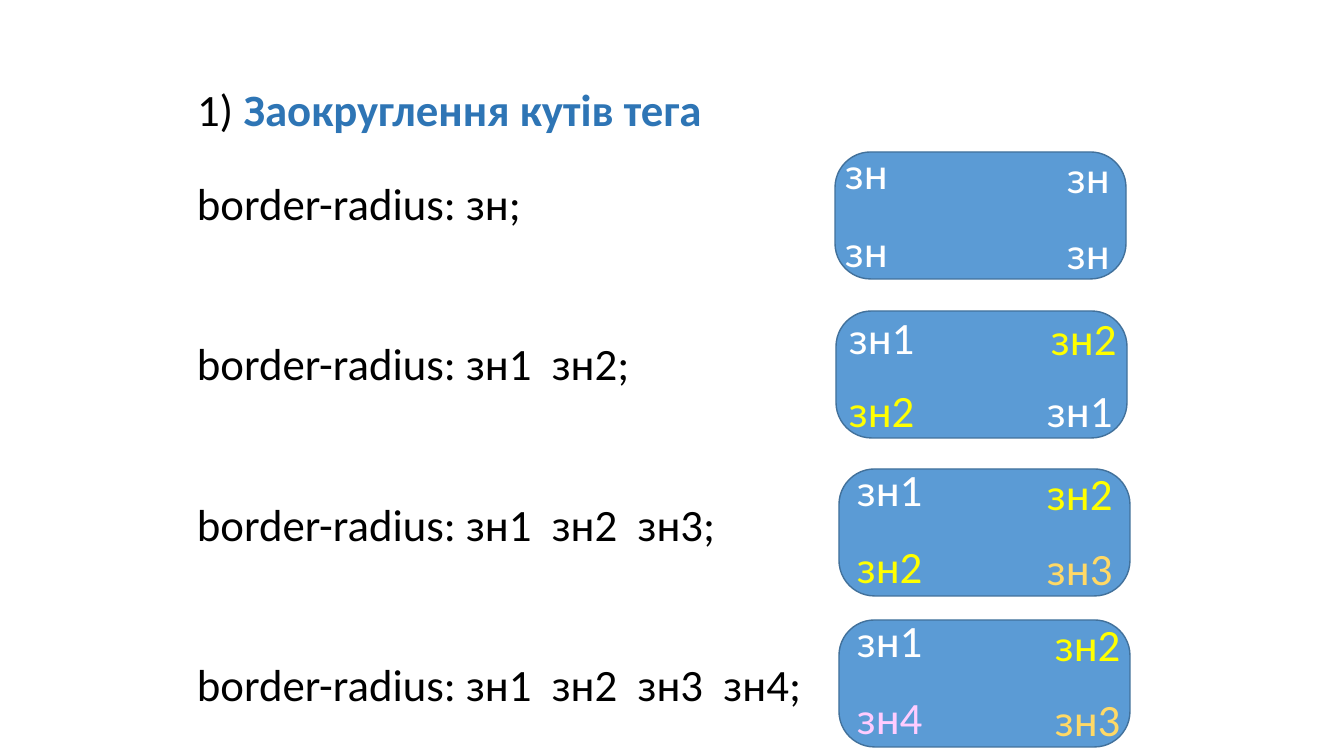
from pptx import Presentation
from pptx.dml.color import RGBColor
from pptx.enum.shapes import MSO_SHAPE
from pptx.enum.text import MSO_ANCHOR, MSO_AUTO_SIZE, PP_ALIGN
from pptx.util import Emu, Pt

HEADING = [("1) ", "000000", False), ("Заокруглення кутів тега", "2E75B5", True)]
RULES = [
    "border-radius: зн;",
    "border-radius: зн1  зн2;",
    "border-radius: зн1  зн2  зн3;",
    "border-radius: зн1  зн2  зн3  зн4;",
]
COLORS = {"зн": "FFFFFF", "зн1": "FFFFFF", "зн2": "FFFF00", "зн3": "FFD966", "зн4": "FFCCFF"}
BOXES = [
    ((835, 152), [("зн", 835, 140), ("зн", 1057, 144), ("зн", 1057, 220), ("зн", 835, 218)]),
    ((836, 311), [("зн1", 839, 305), ("зн2", 1041, 306), ("зн1", 1037, 378), ("зн2", 839, 378)]),
    ((839, 469), [("зн1", 847, 457), ("зн2", 1037, 461), ("зн3", 1037, 536), ("зн2", 847, 534)]),
    ((839, 620), [("зн1", 847, 608), ("зн2", 1045, 612), ("зн3", 1045, 687), ("зн4", 847, 685)]),
]
BOX_W, BOX_H = 291, 127
LABEL_W, LINE_H = 265, 65
TEXT_X, TEXT_W = 187, 961


def px(n):
    return Emu(round(n * 914400 / 100.8))


def rgb(value):
    return RGBColor.from_string(value)


def set_font(font, color):
    font.name = "Calibri"
    font.size = Pt(32)
    font.color.rgb = rgb(color)


def add_text(s, x, y, w, h, lines, color, gap=0):
    tf = s.shapes.add_textbox(px(x), px(y), px(w), px(h)).text_frame
    tf.word_wrap = True
    tf.text = "\n".join(lines)
    for p in tf.paragraphs:
        set_font(p.font, color)
        p.space_after = Pt(gap)


prs = Presentation()
prs.slide_width, prs.slide_height = px(1344), px(756)
s = prs.slides.add_slide(prs.slide_layouts[5])

title = s.shapes.title
title.left, title.top, title.width, title.height = px(TEXT_X), px(77), px(TEXT_W), px(LINE_H)
tf = title.text_frame
tf.auto_size = MSO_AUTO_SIZE.NONE
tf.vertical_anchor = MSO_ANCHOR.TOP
p = tf.paragraphs[0]
p.alignment = PP_ALIGN.LEFT
for text, color, bold in HEADING:
    r = p.add_run()
    r.text = text
    set_font(r.font, color)
    r.font.bold = bold

add_text(s, TEXT_X, 171, TEXT_W, 567, RULES, "000000", gap=76)

for (x, y), labels in BOXES:
    sp = s.shapes.add_shape(MSO_SHAPE.ROUNDED_RECTANGLE, px(x), px(y), px(BOX_W), px(BOX_H))
    sp.adjustments[0] = 0.28
    sp.shadow.inherit = False
    sp.fill.solid()
    sp.fill.fore_color.rgb = rgb("5B9BD5")
    sp.line.color.rgb = rgb("42719B")
    sp.line.width = Pt(1)
    for text, label_x, label_y in labels:
        add_text(s, label_x, label_y, LABEL_W, LINE_H, [text], COLORS[text])

prs.save("out.pptx")
